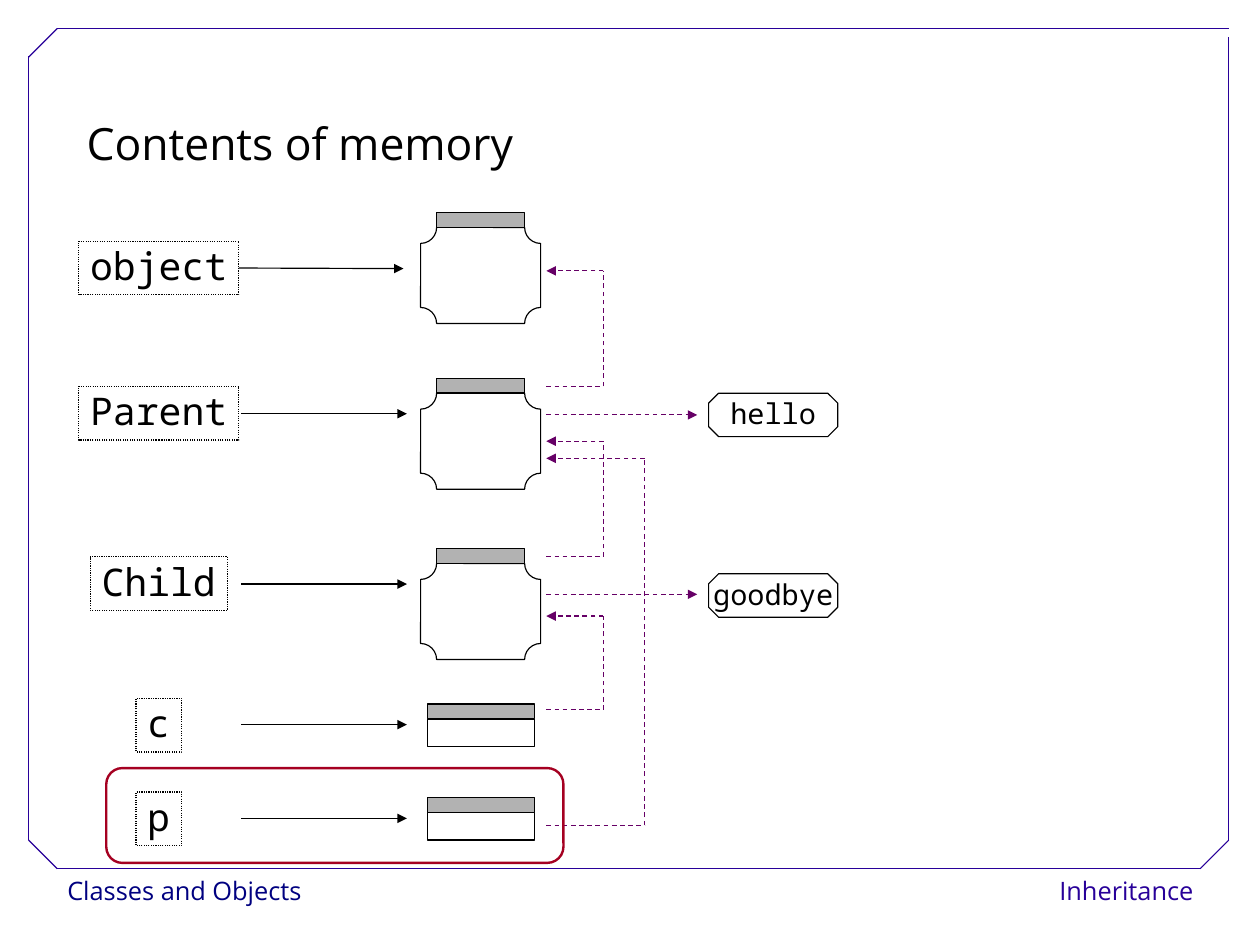
"""Build a slide showing names, classes and instances held in memory."""
from lxml import etree
from pptx import Presentation
from pptx.dml.color import RGBColor
from pptx.enum.dml import MSO_LINE
from pptx.enum.shapes import MSO_CONNECTOR, MSO_SHAPE
from pptx.enum.text import MSO_ANCHOR, PP_ALIGN
from pptx.oxml.ns import qn
from pptx.util import Inches, Pt

RECT, PLAQUE = MSO_SHAPE.RECTANGLE, MSO_SHAPE.PLAQUE
OCTAGON, ROUNDED = MSO_SHAPE.OCTAGON, MSO_SHAPE.ROUNDED_RECTANGLE
STRAIGHT = MSO_CONNECTOR.STRAIGHT
DOT, DASH = MSO_LINE.ROUND_DOT, MSO_LINE.DASH
LEFT, CENTER, RIGHT = PP_ALIGN.LEFT, PP_ALIGN.CENTER, PP_ALIGN.RIGHT
TOP, MIDDLE = MSO_ANCHOR.TOP, MSO_ANCHOR.MIDDLE


class Theme:
    sans, mono = "Open Sans", "Noto Sans Mono"
    black, white, grey = "000000", "FFFFFF", "B2B2B2"
    navy, frame, link, highlight = "000080", "280099", "660066", "A50021"
    title, label, value, footer = 28, 24, 18, 16
    thin, thick = 0.75, 1.5


prs = Presentation()
prs.slide_width, prs.slide_height = Inches(28 / 2.54), Inches(21 / 2.54)
s = prs.slides.add_slide(prs.slide_layouts[6])


def add_box(kind, x, y, w, h, fill=None, line=Theme.black, weight=Theme.thin, dash=None,
            adj=None, text=None, size=Theme.label, font=Theme.mono, color=Theme.black,
            align=LEFT, anchor=TOP, spacing=0.93):
    sp = s.shapes.add_shape(kind, Inches(x), Inches(y), Inches(w), Inches(h))
    sp.shadow.inherit = False
    if adj:
        sp.adjustments[0] = adj
    if fill:
        sp.fill.solid()
        sp.fill.fore_color.rgb = RGBColor.from_string(fill)
    else:
        sp.fill.background()
    if line:
        sp.line.color.rgb = RGBColor.from_string(line)
        sp.line.width = Pt(weight)
        if dash:
            sp.line.dash_style = dash
    else:
        sp.line.fill.background()
    if text:
        tf = sp.text_frame
        tf.word_wrap, tf.vertical_anchor = False, anchor
        p = tf.paragraphs[0]
        p.text, p.alignment, p.line_spacing = text, align, spacing
        p.font.name, p.font.size = font, Pt(size)
        p.font.color.rgb = RGBColor.from_string(color)
    return sp


def add_line(x1, y1, x2, y2, color=Theme.black, dash=None, arrow=False):
    c = s.shapes.add_connector(STRAIGHT, Inches(x1), Inches(y1), Inches(x2), Inches(y2))
    c.line.color.rgb = RGBColor.from_string(color)
    c.line.width = Pt(Theme.thin)
    if dash:
        c.line.dash_style = dash
    if arrow:
        etree.SubElement(c.line._get_or_add_ln(), qn("a:tailEnd"), type="triangle")
    etree.SubElement(c._element.spPr, qn("a:effectLst"))
    return c


for text, x, w, color, align in [("Classes and Objects", 0.49, 2.15, Theme.navy, LEFT),
                                 ("Inheritance", 9.14, 1.4, Theme.frame, RIGHT)]:
    add_box(RECT, x, 7.6, w, 0.4, fill=Theme.white, line=None, text=text, size=Theme.footer,
            font=Theme.sans, color=color, align=align, spacing=1.02)

for ends in [(0.5, 7.6, 10.5, 7.6), (0.25, 7.35, 0.25, 0.49), (0.5, 0.25, 10.75, 0.25),
             (10.75, 7.35, 10.75, 0.32), (0.25, 0.5, 0.5, 0.25),
             (10.5, 7.6, 10.75, 7.35), (0.25, 7.35, 0.5, 7.6)]:
    add_line(*ends, color=Theme.frame)

add_box(RECT, 0.66, 0.73, 9.45, 0.8, line=None, text="Contents of memory",
        size=Theme.title, font=Theme.sans, spacing=1.5)

names = [("object", 1.4, 2.11, 2.08, 2.35), ("Parent", 1.4, 3.38, 2.11, 3.62),
         ("Child", 1.2, 4.87, 2.11, 5.11), ("c", 0.4, 6.11, 2.11, 6.34),
         ("p", 0.4, 6.93, 2.11, 7.16)]
for name, w, y, tail, level in names:
    label = add_box(RECT, 1.39 - w / 2, y, w, 0.47, dash=DOT, text=name)
    arrow = add_line(tail, level, tail + 1.45, level, arrow=True)
    if tail < 1.39 + w / 2:
        arrow.begin_connect(label, 3)

for y in (1.86, 3.31, 4.8):
    add_box(PLAQUE, 3.68, y + 0.13, 1.05, 0.84)
    add_box(RECT, 3.82, y, 0.77, 0.13, fill=Theme.grey)

for y in (6.16, 6.98):
    add_box(RECT, 3.74, y + 0.13, 0.94, 0.24)
    add_box(RECT, 3.74, y, 0.94, 0.13, fill=Theme.grey)

for start, end, x in [(3.38, 2.37, 5.28), (4.87, 3.86, 5.28),
                      (6.21, 5.39, 5.28), (7.22, 4.01, 5.64)]:
    add_line(4.78, start, x, start, Theme.link, DASH)
    add_line(x, start, x, end, Theme.link, DASH)
    add_line(x, end, 4.78, end, Theme.link, DASH, arrow=True)

for text, level, y in [("hello", 3.63, 3.44), ("goodbye", 5.2, 5.02)]:
    add_line(4.78, level, 6.1, level, Theme.link, DASH, arrow=True)
    add_box(OCTAGON, 6.2, y, 1.13, 0.38, adj=0.23, text=text,
            size=Theme.value, align=CENTER, anchor=MIDDLE)

add_box(ROUNDED, 0.93, 6.72, 4, 0.83, line=Theme.highlight, weight=Theme.thick, adj=0.17)

prs.save("out.pptx")
